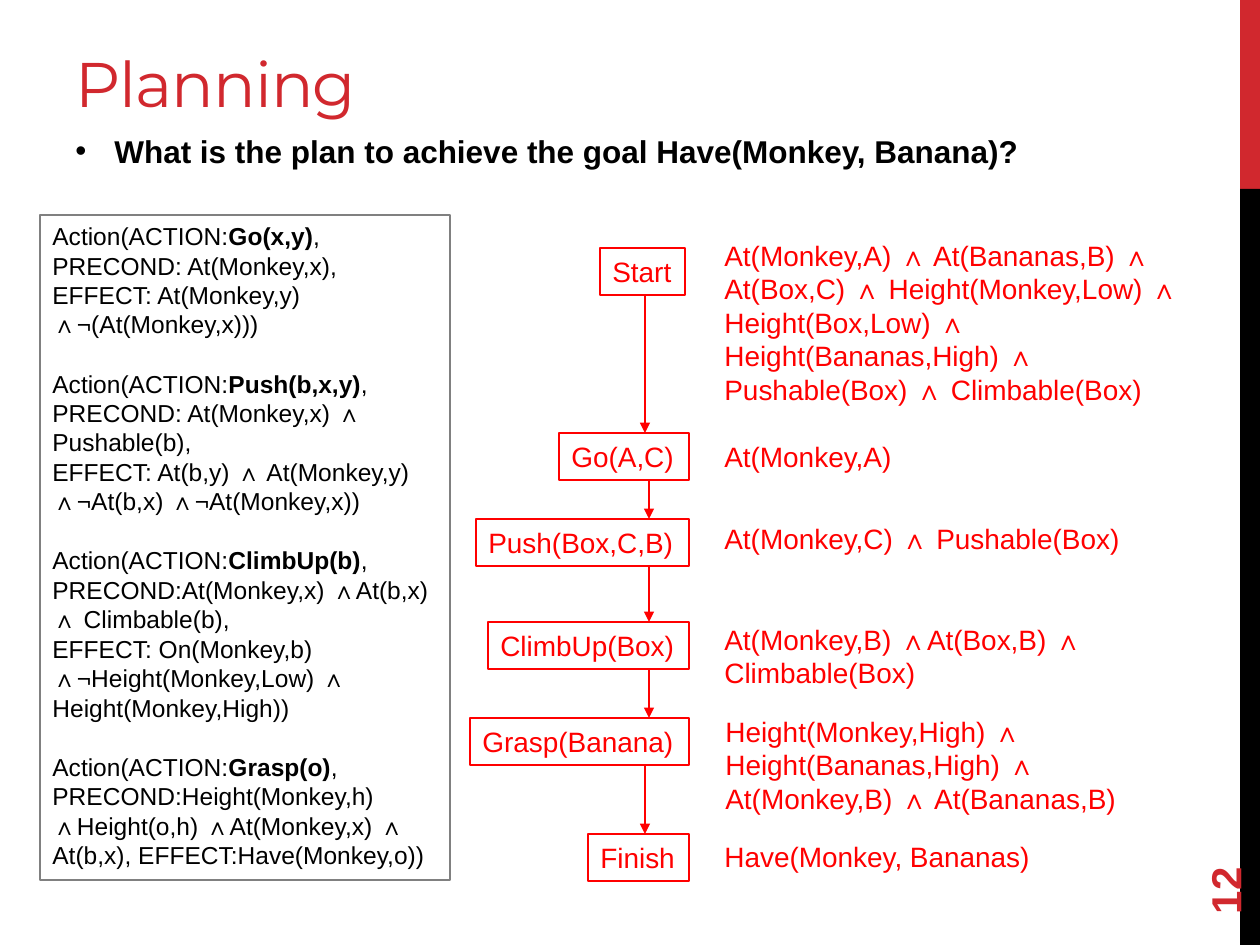
from lxml import etree
from pptx import Presentation
from pptx.dml.color import RGBColor
from pptx.enum.shapes import MSO_CONNECTOR, MSO_SHAPE
from pptx.enum.text import MSO_ANCHOR, MSO_AUTO_SIZE, PP_ALIGN
from pptx.oxml.ns import qn
from pptx.util import Pt

RECT = MSO_SHAPE.RECTANGLE
LINE = MSO_CONNECTOR.STRAIGHT
LEFT = PP_ALIGN.LEFT
TOP, MIDDLE, BOTTOM = MSO_ANCHOR.TOP, MSO_ANCHOR.MIDDLE, MSO_ANCHOR.BOTTOM
FIXED = MSO_AUTO_SIZE.NONE
COLORS = {"title": "D1282E", "black": "000000", "red": "FF0000", "gray": "808080"}
SCALE = 914400 / 126


def write(shape, text, size=16, color="red", font="Arial", bold=False,
          anchor=TOP, wrap=True):
    """Fill a shape with one paragraph per line; ** marks bold parts."""
    frame = shape.text_frame
    frame.auto_size = FIXED
    frame.word_wrap = wrap
    frame.vertical_anchor = anchor
    for i, line in enumerate(text.split("\n")):
        para = frame.paragraphs[0] if i == 0 else frame.add_paragraph()
        para.alignment = LEFT
        for j, part in enumerate(line.split("**")):
            run = para.add_run()
            run.text = part
            run.font.size = Pt(size)
            run.font.name = font
            run.font.bold = bold or j % 2 == 1
            run.font.color.rgb = RGBColor.from_string(COLORS[color])
    return frame.paragraphs


def add_box(area, fill=None, line=None):
    """Add a rectangle with an optional fill and outline."""
    box = slide.shapes.add_shape(RECT, *[round(n * SCALE) for n in area])
    box.shadow.inherit = False
    if fill:
        box.fill.solid()
        box.fill.fore_color.rgb = RGBColor.from_string(COLORS[fill])
    else:
        box.fill.background()
    if line:
        box.line.color.rgb = RGBColor.from_string(COLORS[line])
        box.line.width = Pt(0.75)
    else:
        box.line.fill.background()
    return box


deck = Presentation()
deck.slide_width = round(1260 * SCALE)
deck.slide_height = round(945 * SCALE)
slide = deck.slides.add_slide(deck.slide_layouts[5])

# Side band
add_box((1240, 0, 20, 189), fill="title")
add_box((1240, 189, 20, 756), fill="black")

# Title
title = slide.shapes.title
title.left, title.top, title.width, title.height = [
    round(n * SCALE) for n in (63, -32, 1038, 158)]
para = write(title, "Planning", size=36, color="title", font="Montserrat",
             anchor=BOTTOM)[0]
para.runs[0].font._element.set("spc", "-60")

# Question
ask = add_box((63, 126, 1072, 62))
para = write(ask, "What is the plan to achieve the goal Have(Monkey, Banana)?",
             size=18, color="black", bold=True)[0]
para.space_before = Pt(3.6)
props = para._p.get_or_add_pPr()
indent = round(39 * SCALE)
props.set("marL", str(indent))
props.set("indent", str(-indent))
etree.SubElement(props, qn("a:buFont")).set("typeface", "Arial")
etree.SubElement(props, qn("a:buChar")).set("char", "•")

# Page number
page = add_box((1134, 811, 181, 50))
page.rotation = 270
write(page, "12", size=24, color="title", bold=True, anchor=MIDDLE)

# Action rules
RULES = """Action(ACTION:**Go(x,y)**,
PRECOND: At(Monkey,x),
EFFECT: At(Monkey,y) ∧¬(At(Monkey,x)))
Action(ACTION:**Push(b,x,y)**,
PRECOND: At(Monkey,x) ∧ Pushable(b),
EFFECT: At(b,y) ∧ At(Monkey,y) ∧¬At(b,x) ∧¬At(Monkey,x))
Action(ACTION:**ClimbUp(b)**,
PRECOND:At(Monkey,x) ∧At(b,x) ∧ Climbable(b),
EFFECT: On(Monkey,b) ∧¬Height(Monkey,Low) ∧ Height(Monkey,High))
Action(ACTION:**Grasp(o)**, PRECOND:Height(Monkey,h) ∧Height(o,h) ∧At(Monkey,x) \
∧ At(b,x), EFFECT:Have(Monkey,o))"""
rules = add_box((40, 215, 410, 665), line="gray")
for para in write(rules, RULES, size=14, color="black")[1:]:
    if para.text.startswith("Action"):
        para.space_before = Pt(17)

# Plan: step name, left, right, top, arrow x, state, state area
STEPS = [
    ("Start", 600, 685, 248, 645,
     "At(Monkey,A) ∧ At(Bananas,B) ∧ At(Box,C) ∧ Height(Monkey,Low) ∧ "
     "Height(Box,Low) ∧ Height(Bananas,High) ∧ Pushable(Box) ∧ Climbable(Box)",
     (712, 232, 513, 183)),
    ("Go(A,C)", 559, 689, 433, 649, "At(Monkey,A)", (712, 433, 200, 47)),
    ("Push(Box,C,B)", 476, 689, 519, 649, "At(Monkey,C) ∧ Pushable(Box)",
     (712, 515, 423, 47)),
    ("ClimbUp(Box)", 488, 689, 622, 649,
     "At(Monkey,B) ∧At(Box,B) ∧ Climbable(Box)", (712, 616, 423, 81)),
    ("Grasp(Banana)", 470, 689, 718, 645,
     "Height(Monkey,High) ∧ Height(Bananas,High) ∧ At(Monkey,B) ∧ At(Bananas,B)",
     (713, 708, 423, 115)),
    ("Finish", 588, 689, 834, None, "Have(Monkey, Bananas)", (712, 833, 334, 47)),
]
HIGH = 47
for i, (name, left, right, top, mid, state, area) in enumerate(STEPS):
    write(add_box((left, top, right - left, HIGH), line="red"), name, wrap=False)
    write(add_box(area), state)
    if mid:
        ends = (mid, top + HIGH, mid, STEPS[i + 1][3])
        arrow = slide.shapes.add_connector(LINE, *[round(n * SCALE) for n in ends])
        arrow.line.color.rgb = RGBColor.from_string(COLORS["red"])
        arrow.line.width = Pt(1)
        tail = etree.SubElement(arrow.line._get_or_add_ln(), qn("a:tailEnd"))
        tail.set("type", "triangle")
        etree.SubElement(arrow._element.spPr, qn("a:effectLst"))

deck.save("out.pptx")
